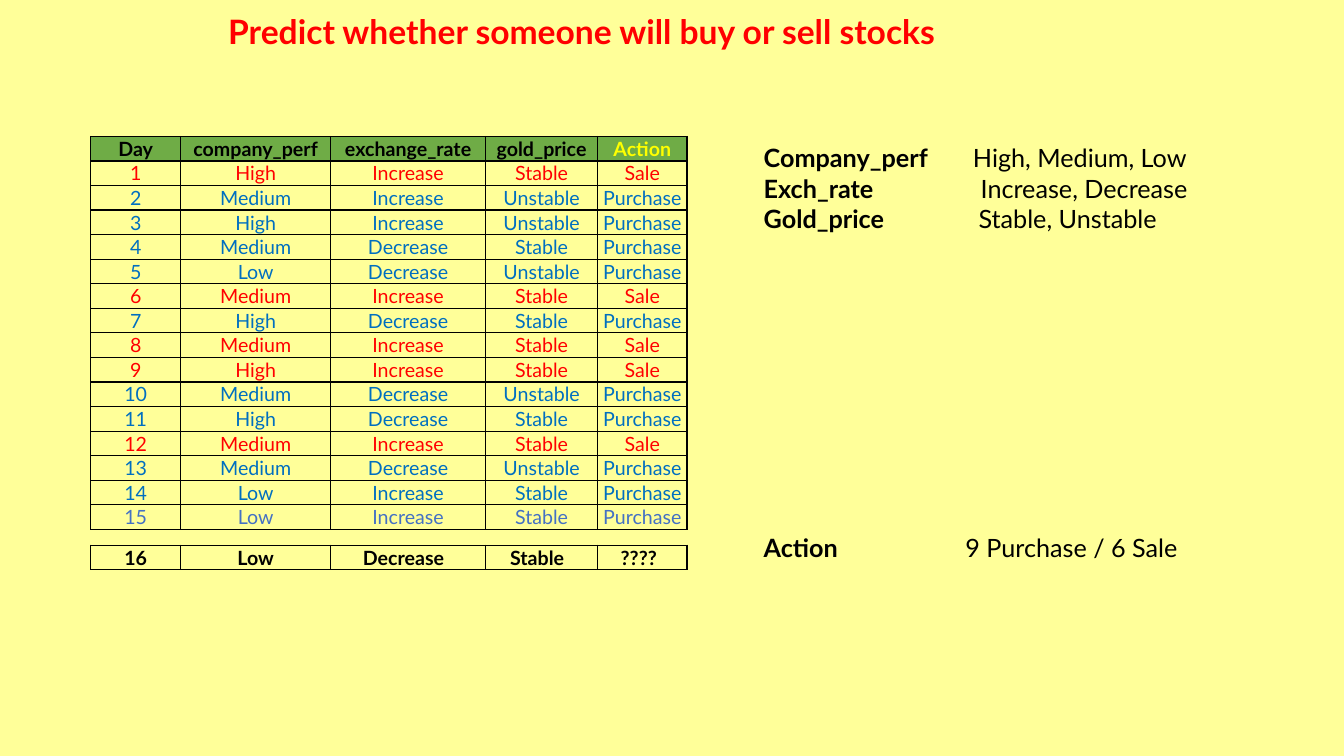
from pptx import Presentation
from pptx.dml.color import RGBColor
from pptx.enum.text import PP_ALIGN
from pptx.oxml.ns import qn
from pptx.util import Pt
from lxml.etree import SubElement

PALE_YELLOW = RGBColor(0xFF, 0xFF, 0x99)
YELLOW = RGBColor(0xFF, 0xFF, 0x00)
GREEN = RGBColor(0x6F, 0xAC, 0x46)
RED = RGBColor(0xFF, 0x00, 0x00)
BLUE = RGBColor(0x00, 0x6F, 0xC0)
SOFT_BLUE = RGBColor(0x44, 0x71, 0xC4)
BLACK = RGBColor(0x00, 0x00, 0x00)

ACTION_COLORS = {"Sale": RED, "Purchase": BLUE}
COLUMN_WIDTHS = [64.3, 107.1, 110.7, 80, 63.9]
ROW_HEIGHT = 17.55
TABLE_LEFT = 64.8

HEADINGS = ["Day", "company_perf", "exchange_rate", "gold_price", "Action"]
HISTORY = [
    ("High", "Increase", "Stable", "Sale"),
    ("Medium", "Increase", "Unstable", "Purchase"),
    ("High", "Increase", "Unstable", "Purchase"),
    ("Medium", "Decrease", "Stable", "Purchase"),
    ("Low", "Decrease", "Unstable", "Purchase"),
    ("Medium", "Increase", "Stable", "Sale"),
    ("High", "Decrease", "Stable", "Purchase"),
    ("Medium", "Increase", "Stable", "Sale"),
    ("High", "Increase", "Stable", "Sale"),
    ("Medium", "Decrease", "Unstable", "Purchase"),
    ("High", "Decrease", "Stable", "Purchase"),
    ("Medium", "Increase", "Stable", "Sale"),
    ("Medium", "Decrease", "Unstable", "Purchase"),
    ("Low", "Increase", "Stable", "Purchase"),
    ("Low", "Increase", "Stable", "Purchase"),
]
QUERY = ["16", "Low", "Decrease", "Stable", "????"]
QUERY_INDENTS = [None, None, 23, 17.5, 16.5]


def style_font(font, size, color, bold):
    for name, value in {"name": "Lato", "size": Pt(size), "bold": bold}.items():
        setattr(font, name, value)
    font.color.rgb = color


def set_margins(target, top):
    margins = {"margin_left": 0, "margin_top": Pt(top), "margin_right": 0, "margin_bottom": 0}
    for name, value in margins.items():
        setattr(target, name, value)


def set_indent(paragraph, points):
    properties = paragraph._p.get_or_add_pPr()
    properties.set("marL", str(Pt(points)))
    properties.set("indent", "0")


def add_text(slide, left, top, width, height, lines, size=18, color=BLACK, bold=False):
    """Add a text box; each line is a pair of wording and left indent."""
    frame = slide.shapes.add_textbox(Pt(left), Pt(top), Pt(width), Pt(height)).text_frame
    frame.word_wrap = True
    set_margins(frame, 2)
    for index, (wording, indent) in enumerate(lines):
        paragraph = frame.add_paragraph() if index else frame.paragraphs[0]
        set_indent(paragraph, indent)
        paragraph.text = wording
        style_font(paragraph.runs[0].font, size, color, bold)


def add_borders(cell):
    properties = cell._tc.get_or_add_tcPr()
    for position, side in enumerate(("a:lnL", "a:lnR", "a:lnT", "a:lnB")):
        line = SubElement(properties, qn(side), w=str(Pt(1)))
        fill = SubElement(line, qn("a:solidFill"))
        SubElement(fill, qn("a:srgbClr"), val=str(BLACK))
        properties.insert(position, line)


def fill_cell(cell, wording, color, bold, background=None, indent=None):
    set_margins(cell, 1.5)
    if background is None:
        cell.fill.background()
    else:
        cell.fill.solid()
        cell.fill.fore_color.rgb = background
    add_borders(cell)
    paragraph = cell.text_frame.paragraphs[0]
    paragraph.text = wording
    paragraph.line_spacing = Pt(15.8)
    if indent is None:
        paragraph.alignment = PP_ALIGN.CENTER
    else:
        set_indent(paragraph, indent)
    style_font(paragraph.runs[0].font, 14, color, bold)


def add_grid(slide, top, row_count):
    grid = slide.shapes.add_table(
        row_count, len(COLUMN_WIDTHS), Pt(TABLE_LEFT), Pt(top),
        Pt(sum(COLUMN_WIDTHS)), Pt(ROW_HEIGHT * row_count)).table
    grid.first_row = grid.horz_banding = False
    for column, width in zip(grid.columns, COLUMN_WIDTHS):
        column.width = Pt(width)
    for row in grid.rows:
        row.height = Pt(ROW_HEIGHT)
    return grid


def add_history(slide):
    grid = add_grid(slide, 97.4, len(HISTORY) + 1)
    for column, heading in enumerate(HEADINGS):
        color = YELLOW if heading == "Action" else BLACK
        fill_cell(grid.cell(0, column), heading, color, True, GREEN)
    for day, facts in enumerate(HISTORY, start=1):
        color = SOFT_BLUE if day == len(HISTORY) else ACTION_COLORS[facts[-1]]
        for column, wording in enumerate((str(day), *facts)):
            fill_cell(grid.cell(day, column), wording, color, False)


def add_query(slide):
    grid = add_grid(slide, 389.5, 1)
    for column, (wording, indent) in enumerate(zip(QUERY, QUERY_INDENTS)):
        fill_cell(grid.cell(0, column), wording, BLACK, True, indent=indent)


def main():
    presentation = Presentation()
    presentation.slide_width, presentation.slide_height = Pt(960), Pt(540)
    slide = presentation.slides.add_slide(presentation.slide_layouts[6])
    slide.background.fill.solid()
    slide.background.fill.fore_color.rgb = PALE_YELLOW

    # Title
    add_text(slide, 162, 5.8, 577, 31,
             [("Predict whether someone will buy or sell stocks", 1)], 24, RED, True)

    # Known days and the day to predict
    add_history(slide)
    add_query(slide)

    # Attributes and their values
    add_text(slide, 544.5, 100, 135, 67,
             [("Company_perf", 1), ("Exch_rate", 1), ("Gold_price", 1)], bold=True)
    add_text(slide, 694, 100, 165, 67,
             [("High, Medium, Low", 1), ("Increase, Decrease", 6.5), ("Stable, Unstable", 5)])

    # Outcome counts
    add_text(slide, 544.5, 378, 60, 24, [("Action", 1)], bold=True)
    add_text(slide, 688.5, 378, 156, 24, [("9 Purchase / 6 Sale", 1)])

    presentation.save("out.pptx")


if __name__ == "__main__":
    main()
